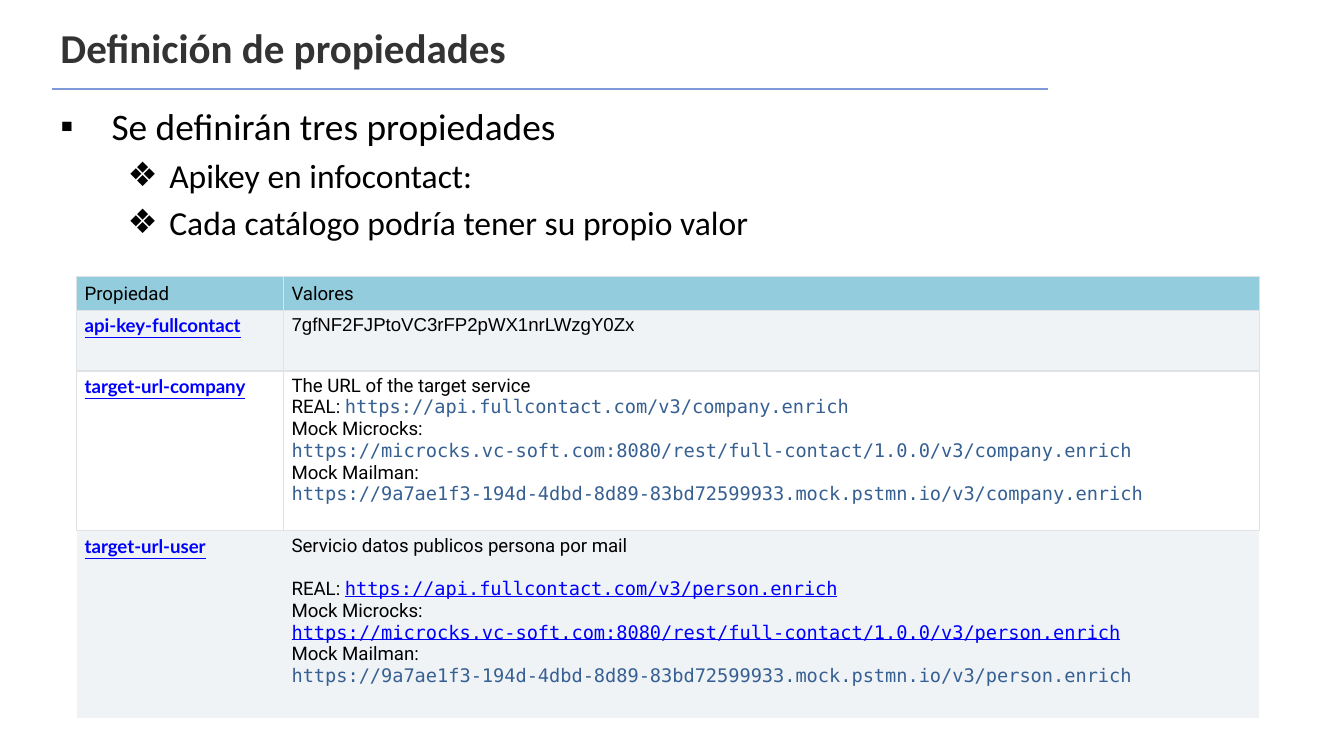
from dataclasses import dataclass
from lxml.etree import SubElement as Sub
from pptx import Presentation
from pptx.dml.color import RGBColor as Rgb
from pptx.enum.shapes import MSO_CONNECTOR as Link
from pptx.enum.text import MSO_ANCHOR as Anchor, MSO_AUTO_SIZE as Fit, PP_ALIGN as Align
from pptx.oxml.ns import qn
from pptx.util import Inches, Pt


@dataclass(frozen=True)
class Theme:
    ink: str = "000000"
    head: str = "333333"
    rule: str = "7F98D7"
    bar: str = "93CDDD"
    band: str = "F0F3F6"
    plain: str = "FFFFFF"
    edge: str = "DFE3E6"
    url: str = "376092"
    link: str = "0000FF"
    big: int = 22
    mid: int = 20
    sub: int = 18
    small: int = 10
    main: str = "Calibri"
    cell: str = "Roboto"
    key: str = "Lato"
    code: str = "Arial"
    mono: str = "DejaVu Sans Mono"


T = Theme()
BODY = dict(font=T.cell)
KEY = dict(font=T.key, color=T.link, bold=True, under=True)
URL = dict(font=T.mono, color=T.url)
LINK = dict(font=T.mono, color=T.link, under=True)

MICRO = "https://microcks.vc-soft.com:8080/rest/full-contact/1.0.0/v3/"
MOCK = "https://9a7ae1f3-194d-4dbd-8d89-83bd72599933.mock.pstmn.io/v3/"


def service(intro, name, look):
    return [
        [(intro, BODY)],
        [("REAL: ", BODY), (f"https://api.fullcontact.com/v3/{name}", look)],
        [("Mock Microcks: ", BODY), (MICRO + name, look)],
        [("Mock Mailman: ", BODY), (MOCK + name, URL)],
    ]


ITEMS = [
    ("Se definirán tres propiedades", 0),
    ("Apikey en infocontact:", 1),
    ("Cada catálogo podría tener su propio valor", 1),
]
LEVELS = [("▪", 0.38, -0.38, T.mid), ("❖", 0.81, -0.31, T.sub)]
COLS = [1.54, 7.26]
ROWS = [
    (0.25, T.bar, "LRTB", 0, ("Propiedad", BODY), [[("Valores", BODY)]]),
    (0.45, T.band, "LRTB", 0, ("api-key-fullcontact", KEY),
     [[("7gfNF2FJPtoVC3rFP2pWX1nrLWzgY0Zx", dict(font=T.code))]]),
    (1.19, T.plain, "LRTB", 0, ("target-url-company", KEY),
     service("The URL of the target service", "company.enrich", URL)),
    (1.39, T.band, "T", 11.7, ("target-url-user", KEY),
     service("Servicio datos publicos persona por mail", "person.enrich", LINK)),
]


def say(para, text, font=T.main, size=T.small, color=T.ink, bold=False, under=False):
    run = para.add_run()
    run.text = text
    face = run.font
    face.name, face.size, face.bold, face.underline = font, Pt(size), bold, under
    face.color.rgb = Rgb.from_string(color)


def place(shape, box):
    shape.left, shape.top, shape.width, shape.height = map(Inches, box)


def heading(slide, box):
    left, top, width, height = box
    title = slide.shapes.title
    place(title, box)
    frame = title.text_frame
    frame.auto_size = Fit.NONE
    frame.vertical_anchor = Anchor.MIDDLE
    para = frame.paragraphs[0]
    para.alignment = Align.LEFT
    say(para, "Definición de propiedades", size=T.big, color=T.head, bold=True)
    y = Inches(top + height + 0.11)
    rule = slide.shapes.add_connector(
        Link.STRAIGHT, Inches(left + 0.04), y, Inches(left + width - 0.12), y)
    rule.line.color.rgb = Rgb.from_string(T.rule)
    rule.line.width = Pt(1)
    Sub(rule._element.spPr, qn("a:effectLst"))


def bullets(slide, box):
    body = slide.placeholders[1]
    place(body, box)
    frame = body.text_frame
    frame.auto_size = Fit.NONE
    for i, (text, level) in enumerate(ITEMS):
        mark, left, hang, size = LEVELS[level]
        para = frame.add_paragraph() if i else frame.paragraphs[0]
        para.level = level
        para.space_before = Pt(size * 0.2 if i else 0)
        props = para._p.get_or_add_pPr()
        props.set("marL", str(Inches(left)))
        props.set("indent", str(Inches(hang)))
        Sub(props, qn("a:buChar"), char=mark)
        say(para, text, size=size)


def border(cell, sides):
    props = cell._tc.get_or_add_tcPr()
    for side in "LRTB":
        line = Sub(props, qn(f"a:ln{side}"), w=str(Pt(0.75)))
        if side in sides:
            fill = Sub(line, qn("a:solidFill"))
            Sub(fill, qn("a:srgbClr"), val=T.edge)
        else:
            Sub(line, qn("a:noFill"))


def fill_cell(cell, paras, color, sides, gap, anchor):
    border(cell, sides)
    cell.fill.solid()
    cell.fill.fore_color.rgb = Rgb.from_string(color)
    cell.margin_left = cell.margin_right = Inches(0.06)
    cell.margin_top = cell.margin_bottom = Inches(0.03)
    cell.vertical_anchor = anchor
    frame = cell.text_frame
    for i, runs in enumerate(paras):
        para = frame.add_paragraph() if i else frame.paragraphs[0]
        para.alignment = Align.LEFT
        if i == 1:
            para.space_before = Pt(gap)
        for text, look in runs:
            say(para, text, **look)


def grid(slide, box):
    table = slide.shapes.add_table(len(ROWS), len(COLS), *map(Inches, box)).table
    for col, width in zip(table.columns, COLS):
        col.width = Inches(width)
    for r, (height, color, sides, gap, name, value) in enumerate(ROWS):
        table.rows[r].height = Inches(height)
        anchor = Anchor.TOP if r else Anchor.MIDDLE
        for c, paras in enumerate([[[name]], value]):
            fill_cell(table.cell(r, c), paras, color, sides, gap, anchor)


def main():
    deck = Presentation()
    deck.slide_width = Inches(10)
    deck.slide_height = deck.slide_width * 9 // 16
    slide = deck.slides.add_slide(deck.slide_layouts[1])
    heading(slide, (0.35, 0.15, 7.57, 0.4))
    bullets(slide, (0.35, 0.72, 9.33, 4.55))
    grid(slide, (0.57, 2.06, sum(COLS), sum(row[0] for row in ROWS)))
    deck.save("out.pptx")


if __name__ == "__main__":
    main()
